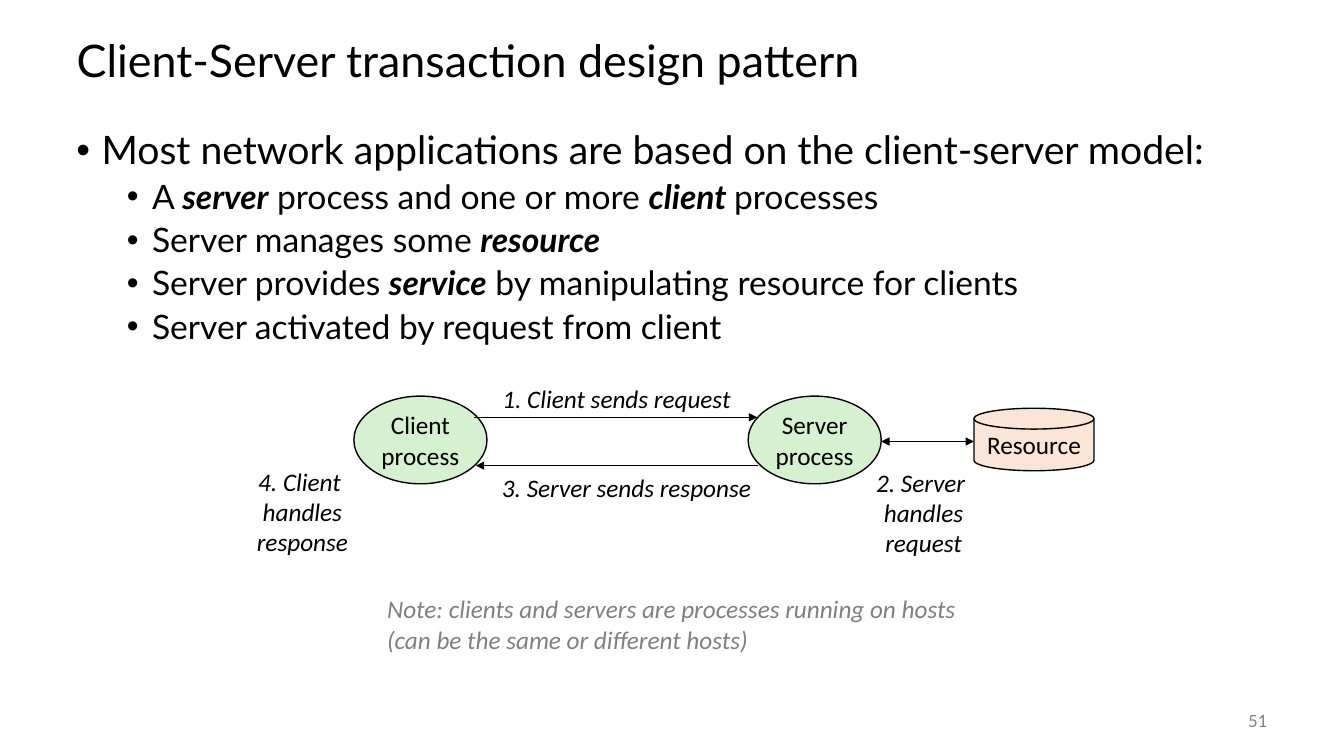
from lxml import etree
from pptx import Presentation
from pptx.dml.color import RGBColor
from pptx.enum.shapes import MSO_CONNECTOR, MSO_SHAPE
from pptx.enum.text import MSO_ANCHOR, PP_ALIGN
from pptx.oxml.ns import qn
from pptx.util import Inches, Pt

BLACK = RGBColor(0x00, 0x00, 0x00)
GRAY = RGBColor(0x80, 0x80, 0x80)
GREEN = RGBColor(0xD5, 0xF1, 0xCF)
PEACH = RGBColor(0xFB, 0xE5, 0xD6)


def write(shape, text, size=18, font="Calibri", color=BLACK, italic=False,
          align=PP_ALIGN.CENTER, wrap=False, anchor=MSO_ANCHOR.MIDDLE):
    frame = shape.text_frame
    frame.text = text
    frame.word_wrap = wrap
    frame.vertical_anchor = anchor
    for para in frame.paragraphs:
        para.alignment = align
        for run in para.runs:
            run.font.size = Pt(size)
            run.font.name = font
            run.font.italic = italic
            run.font.color.rgb = color


def box(left, top, width, height):
    return slide.shapes.add_textbox(Inches(left), Inches(top),
                                    Inches(width), Inches(height))


prs = Presentation()
prs.slide_width = Inches(13.33)
prs.slide_height = Inches(7.5)
slide = prs.slides.add_slide(prs.slide_layouts[5])

# Title
title = slide.shapes.title
title.left, title.top = Inches(0.66), Inches(0.25)
title.width, title.height = Inches(12), Inches(0.75)
write(title, "Client-Server transaction design pattern", 32, "Lato",
      align=PP_ALIGN.LEFT, wrap=True)
title.text_frame.paragraphs[0].line_spacing = 0.9

# Bullets: every second piece of a line is a key term
bullets = [
    (0, ["Most network applications are based on the client-server model:"]),
    (1, ["A ", "server", " process and one or more ", "client ", "processes"]),
    (1, ["Server manages some ", "resource"]),
    (1, ["Server provides ", "service",
         " by manipulating resource for clients"]),
    (1, ["Server activated by request from client"]),
]
body = box(0.66, 1.25, 12, 5.5).text_frame
body.word_wrap = True
for row, (level, parts) in enumerate(bullets):
    para = body.add_paragraph() if row else body.paragraphs[0]
    para.level = level
    para.line_spacing = 0.9
    para.space_before = Pt(5 if row else 0)
    props = para._p.get_or_add_pPr()
    props.set("marL", str(Inches(0.25 + 0.5 * level)))
    props.set("indent", str(Inches(-0.25)))
    etree.SubElement(props, qn("a:buFont")).set("typeface", "Arial")
    etree.SubElement(props, qn("a:buChar")).set("char", "•")
    for spot, part in enumerate(parts):
        run = para.add_run()
        run.text = part
        run.font.size = Pt(24 if level else 28)
        run.font.name = "Lato"
        run.font.color.rgb = BLACK
        run.font.bold = run.font.italic = spot % 2 == 1

# Processes and resource
nodes = [
    (MSO_SHAPE.OVAL, 3.51, 3.93, 1.32, 0.87, GREEN, "Client\nprocess"),
    (MSO_SHAPE.OVAL, 7.42, 3.93, 1.32, 0.87, GREEN, "Server\nprocess"),
    (MSO_SHAPE.FLOWCHART_MAGNETIC_DISK, 9.66, 4.05, 1.19, 0.62, PEACH,
     "Resource"),
]
for kind, left, top, width, height, fill, text in nodes:
    node = slide.shapes.add_shape(kind, Inches(left), Inches(top),
                                  Inches(width), Inches(height))
    node.shadow.inherit = False
    node.fill.solid()
    node.fill.fore_color.rgb = fill
    node.line.color.rgb = BLACK
    node.line.width = Pt(1)
    write(node, text)

# Arrows
arrows = [
    (4.7, 7.51, 4.14, ["tailEnd"]),
    (7.52, 4.72, 4.62, ["tailEnd"]),
    (8.74, 9.66, 4.38, ["headEnd", "tailEnd"]),
]
for start, end, y, tips in arrows:
    arrow = slide.shapes.add_connector(MSO_CONNECTOR.STRAIGHT, Inches(start),
                                       Inches(y), Inches(end), Inches(y))
    arrow.line.color.rgb = BLACK
    arrow.line.width = Pt(1)
    for tip in tips:
        line = arrow.line._get_or_add_ln()
        etree.SubElement(line, qn(f"a:{tip}")).set("type", "triangle")
    etree.SubElement(arrow._element.spPr, qn("a:effectLst"))

# Step labels
steps = [
    (4.84, 3.75, 2.55, 0.4, "1. Client sends request"),
    (8.57, 4.58, 1.18, 1.01, "2. Server \nhandles\nrequest"),
    (4.83, 4.64, 2.77, 0.4, "3. Server sends response"),
    (2.43, 4.57, 1.14, 1.01, "4. Client \nhandles\nresponse"),
]
for left, top, width, height, text in steps:
    write(box(left, top, width, height), text, italic=True)

# Note and slide number
write(box(3.74, 5.84, 6.11, 0.71),
      "Note: clients and servers are processes running on hosts\n"
      "(can be the same or different hosts)",
      color=GRAY, italic=True, align=PP_ALIGN.LEFT, wrap=True,
      anchor=MSO_ANCHOR.TOP)
write(box(11.67, 6.95, 1, 0.4), "51", 12, "Lato", GRAY,
      align=PP_ALIGN.RIGHT, wrap=True)

prs.save("out.pptx")
